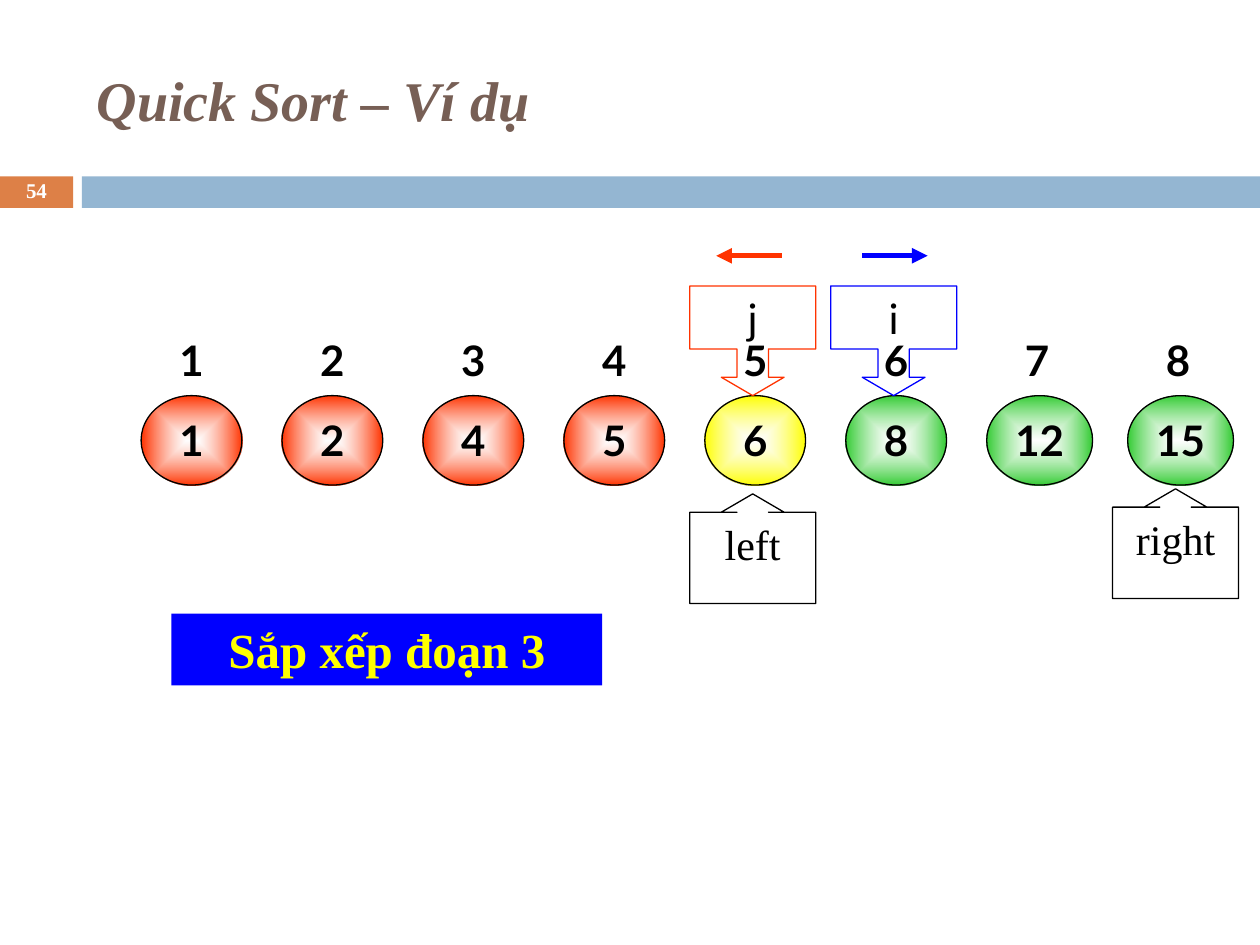
from lxml.etree import SubElement
from pptx import Presentation
from pptx.dml.color import RGBColor
from pptx.enum.shapes import MSO_CONNECTOR, MSO_SHAPE
from pptx.enum.text import MSO_ANCHOR, PP_ALIGN
from pptx.oxml import parse_xml
from pptx.oxml.ns import nsdecls, qn
from pptx.util import Inches, Pt

COLORS = {
    "white": "FFFFFF", "black": "000000", "title": "775F55",
    "orange": "DD8047", "bar": "94B6D2", "red": "FF3300",
    "yellow": "FFFF00", "green": "33CC33", "blue": "0000FF",
}
SERIF, SANS = "Times New Roman", "Lato"
TITLE = "Quick Sort – Ví dụ"
PAGE = "54"
STEP = "Sắp xếp đoạn 3"
VALUES = [
    ("1", "red"), ("2", "red"), ("4", "red"), ("5", "red"),
    ("6", "yellow"), ("8", "green"), ("12", "green"), ("15", "green"),
]
BOUNDS = [("left", 4, 3.92), ("right", 7, 3.88)]
POINTERS = [("i", 5, "blue", 0.25, 0.77), ("j", 4, "red", 0.73, 0.21)]

SLIDE_W, SLIDE_H = 10, 7.5
GRID_LEFT, GRID_SPAN = 1.12, 7.83
PITCH = GRID_SPAN / (len(VALUES) - 1)
BALL_W, WIDE_BALL_W, BALL_H = 0.8, 0.84, 0.71
BALL_TOP, INDEX_TOP = 3.14, 2.5
CALLOUT_W, CALLOUT_H, POINTER_TOP, ARROW_Y = 1, 0.87, 2.27, 2.03
BAR_TOP, BAR_H, PAGE_W, BAR_LEFT = 1.4, 0.25, 0.58, 0.65

prs = Presentation()
prs.slide_width, prs.slide_height = Inches(SLIDE_W), Inches(SLIDE_H)
s = prs.slides.add_slide(prs.slide_layouts[6])


def rgb(name):
    return RGBColor.from_string(COLORS[name])


def column(index):
    return GRID_LEFT + index * PITCH


def write(sp, text, size=24, font=SANS, color="black", bold=False, italic=False,
          align=PP_ALIGN.CENTER, anchor=MSO_ANCHOR.TOP, wrap=True, spacing=None):
    tf = sp.text_frame
    tf.word_wrap = wrap
    tf.vertical_anchor = anchor
    p = tf.paragraphs[0]
    p.alignment = align
    p.line_spacing = spacing
    r = p.add_run()
    r.text = text
    r.font.size, r.font.name = Pt(size), font
    r.font.bold, r.font.italic = bold, italic
    r.font.color.rgb = rgb(color)


def add_shape(kind, x, y, w, h, fill=None, line=None, adjustments=()):
    sp = s.shapes.add_shape(kind, Inches(x), Inches(y), Inches(w), Inches(h))
    sp.shadow.inherit = False
    for i, value in enumerate(adjustments):
        sp.adjustments[i] = value
    if fill:
        sp.fill.solid()
        sp.fill.fore_color.rgb = rgb(fill)
    else:
        sp.fill.background()
    if line:
        sp.line.color.rgb = rgb(line)
        sp.line.width = Pt(0.75)
    else:
        sp.line.fill.background()
    return sp


def add_text(text, x, y, w, h, **style):
    sp = s.shapes.add_textbox(Inches(x), Inches(y), Inches(w), Inches(h))
    write(sp, text, **style)


def glow(sp, color):
    grad = parse_xml(
        f'<a:gradFill {nsdecls("a")} rotWithShape="0"><a:gsLst>'
        f'<a:gs pos="0"><a:srgbClr val="{COLORS["white"]}"><a:alpha val="60000"/></a:srgbClr></a:gs>'
        f'<a:gs pos="100000"><a:srgbClr val="{COLORS[color]}"/></a:gs></a:gsLst>'
        '<a:path path="rect"><a:fillToRect l="50000" t="50000" r="50000" b="50000"/></a:path>'
        '</a:gradFill>')
    pr = sp.fill._xPr
    pr.replace(pr.find(qn("a:noFill")), grad)


def add_arrow(x1, x2, y, color):
    c = s.shapes.add_connector(MSO_CONNECTOR.STRAIGHT, Inches(x1), Inches(y), Inches(x2), Inches(y))
    c.line.color.rgb = rgb(color)
    c.line.width = Pt(3)
    SubElement(c.line._get_or_add_ln(), qn("a:tailEnd"), type="triangle")
    SubElement(c._element.spPr, qn("a:effectLst"))


def add_callout(kind, text, index, y, color, font, body):
    x = column(index) - 0.12
    sp = add_shape(kind, x, y, CALLOUT_W, CALLOUT_H, line=color,
                   adjustments=(0.286, 0.286, 0.167, body))
    write(sp, text, font=font)
    return x


add_shape(MSO_SHAPE.RECTANGLE, 0, BAR_TOP, PAGE_W, BAR_H, "orange")
add_shape(MSO_SHAPE.RECTANGLE, BAR_LEFT, BAR_TOP, SLIDE_W - BAR_LEFT, BAR_H, "bar")
add_text(TITLE, 0.67, 0.25, 8.92, 1.08, size=32, font=SERIF, color="title", bold=True,
         italic=True, align=PP_ALIGN.LEFT, anchor=MSO_ANCHOR.MIDDLE)
add_text(PAGE, 0, 1.39, PAGE_W, 0.27, size=12, font=SERIF, color="white", bold=True,
         anchor=MSO_ANCHOR.MIDDLE, spacing=0.8)

for i, (value, color) in enumerate(VALUES):
    width = WIDE_BALL_W if len(value) > 1 else BALL_W
    ball = add_shape(MSO_SHAPE.OVAL, column(i), BALL_TOP, width, BALL_H, line="black")
    glow(ball, color)
    write(ball, value, bold=True, wrap=False)
    label = add_shape(MSO_SHAPE.OVAL, column(i), INDEX_TOP, BALL_W, BALL_H)
    write(label, str(i + 1), bold=True, wrap=False)

for text, index, top in BOUNDS:
    add_callout(MSO_SHAPE.UP_ARROW_CALLOUT, text, index, top, "black", SERIF, 0.851)

for text, index, color, start, end in POINTERS:
    x = add_callout(MSO_SHAPE.DOWN_ARROW_CALLOUT, text, index, POINTER_TOP, color, SANS, 0.575)
    add_arrow(x + start, x + end, ARROW_Y, color)

step = add_shape(MSO_SHAPE.RECTANGLE, 1.36, 4.87, 3.42, 0.57, "blue")
write(step, STEP, size=28, font=SERIF, color="yellow", bold=True)

prs.save("out.pptx")
